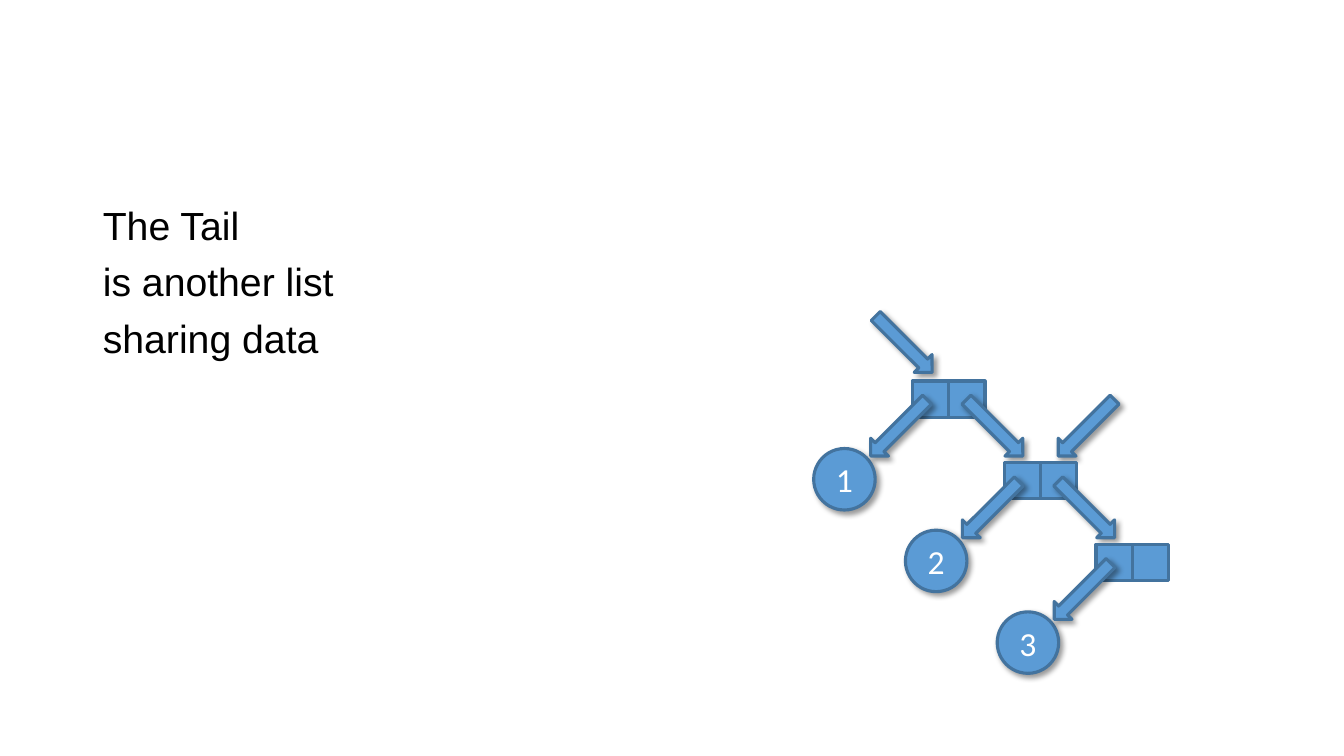
from lxml.etree import SubElement
from pptx import Presentation
from pptx.dml.color import RGBColor
from pptx.enum.shapes import MSO_SHAPE as Shape
from pptx.enum.text import MSO_ANCHOR as Anchor, MSO_AUTO_SIZE as AutoSize, PP_ALIGN as Align
from pptx.oxml.ns import qn
from pptx.util import Inches, Pt

FILL, OUTLINE = "5B9BD5", "43739E"
CELL, CIRCLE = 0.36, 0.61
ARROW_W, ARROW_H = 0.79, 0.25
STEP_X, STEP_Y = 0.91, 0.81


def paint(color, value):
    """Set a colour format from a hex string."""
    color.rgb = RGBColor.from_string(value)


def add_block(shapes, kind, left, top, width, height):
    """Add a filled and outlined shape without shadow."""
    block = shapes.add_shape(kind, Inches(left), Inches(top), Inches(width), Inches(height))
    block.fill.solid()
    paint(block.fill.fore_color, FILL)
    paint(block.line.color, OUTLINE)
    block.line.width = Pt(2.25)
    block.shadow.inherit = False
    return block


def cast_shadow(block):
    """Give a shape a soft shadow to the lower right."""
    effects = block._element.spPr.find(qn("a:effectLst"))
    shadow = SubElement(effects, qn("a:outerShdw"), blurRad=str(Pt(4)), dist=str(Pt(3)),
                        dir="2700000", algn="tl", rotWithShape="0")
    black = SubElement(shadow, qn("a:srgbClr"), val="000000")
    SubElement(black, qn("a:alpha"), val="40000")


def add_pointer(slide, left, top, rotation):
    """Add a rotated block arrow."""
    pointer = add_block(slide.shapes, Shape.RIGHT_ARROW, left, top, ARROW_W, ARROW_H)
    pointer.rotation = rotation
    cast_shadow(pointer)


def add_value(slide, left, top, value):
    """Add a circle holding a list value."""
    circle = add_block(slide.shapes, Shape.OVAL, left, top, CIRCLE, CIRCLE)
    cast_shadow(circle)
    frame = circle.text_frame
    frame.vertical_anchor = Anchor.MIDDLE
    frame.text = str(value)
    label = frame.paragraphs[0]
    label.alignment = Align.CENTER
    label.font.name = "Calibri"
    label.font.size = Pt(24)
    paint(label.font.color, "FFFFFF")


def add_node(slide, left, top, value, has_next):
    """Add a two-cell list node with its value and its pointers."""
    cells = slide.shapes.add_group_shape()
    for column in range(2):
        add_block(cells.shapes, Shape.RECTANGLE, left + column * CELL, top, CELL, CELL)
    add_value(slide, left - 0.98, top + 0.67, value)
    add_pointer(slide, left - 0.53, top + 0.34, 135)
    if has_next:
        add_pointer(slide, left + 0.42, top + 0.34, 45)


def add_linked_list(slide, left, top, values):
    """Add the chain of nodes with pointers to the list and to its tail."""
    add_pointer(slide, left + STEP_X + 0.42, top + STEP_Y - 0.47, 135)
    add_pointer(slide, left - 0.48, top - 0.49, 45)
    for index, value in enumerate(values):
        add_node(slide, left + index * STEP_X, top + index * STEP_Y, value,
                 index < len(values) - 1)


def add_statement(slide, left, top, width, height, lines):
    """Fill the body placeholder with unbulleted lines."""
    body = slide.placeholders[1]
    body.left, body.top = Inches(left), Inches(top)
    body.width, body.height = Inches(width), Inches(height)
    frame = body.text_frame
    frame.text = "\n".join(lines)
    frame.auto_size = AutoSize.NONE
    frame.vertical_anchor = Anchor.TOP
    for index, line in enumerate(frame.paragraphs):
        properties = line._p.get_or_add_pPr()
        properties.set("marL", "0")
        properties.set("indent", "0")
        SubElement(properties, qn("a:buNone"))
        line.line_spacing = 0.9
        line.space_before = Pt(10 if index else 0)
        line.font.name = "Arial"
        line.font.size = Pt(28)
        paint(line.font.color, "000000")


def main():
    """Build and save the slide."""
    deck = Presentation()
    deck.slide_width, deck.slide_height = Inches(13.33), Inches(7.5)
    slide = deck.slides.add_slide(deck.slide_layouts[1])
    title = slide.shapes.title._element
    title.getparent().remove(title)
    add_statement(slide, 0.92, 2, 11.5, 4.76,
                  ["The Tail", "is another list", "sharing data"])
    add_linked_list(slide, 9.05, 3.78, [1, 2, 3])
    deck.save("out.pptx")


if __name__ == "__main__":
    main()
